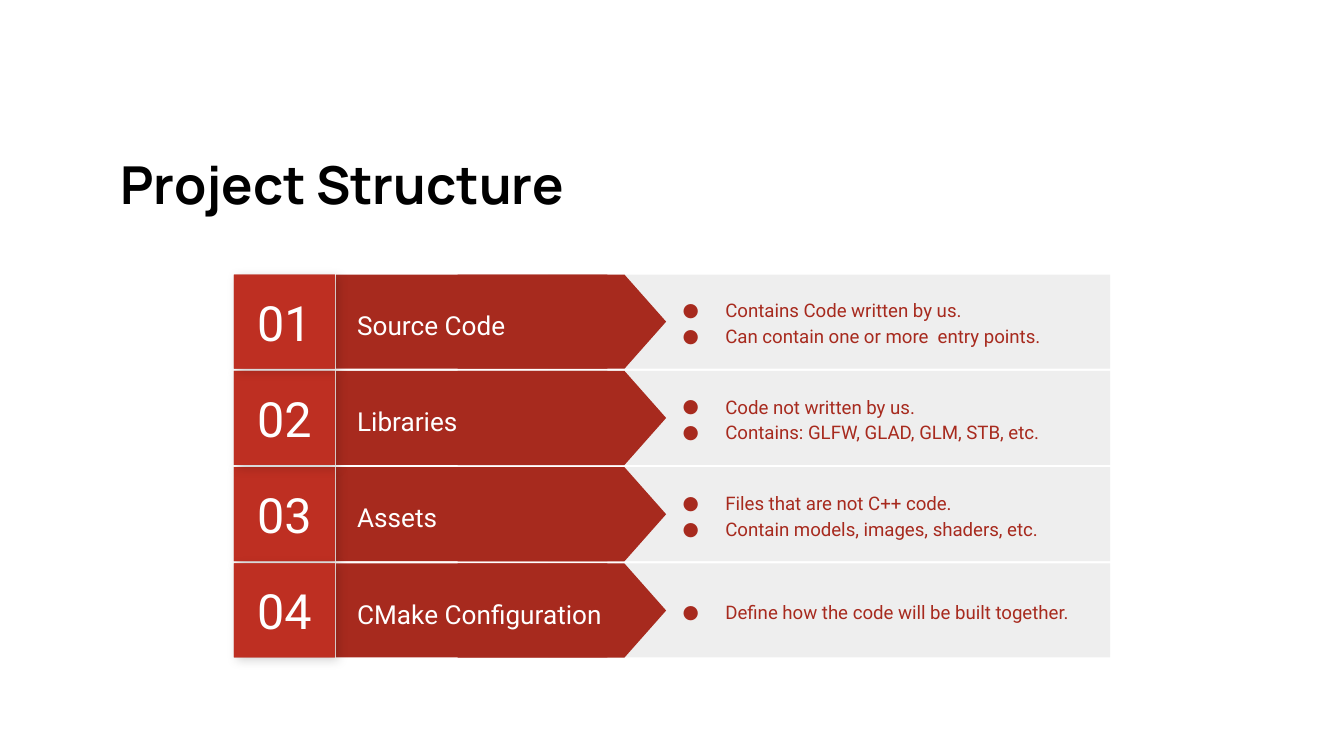
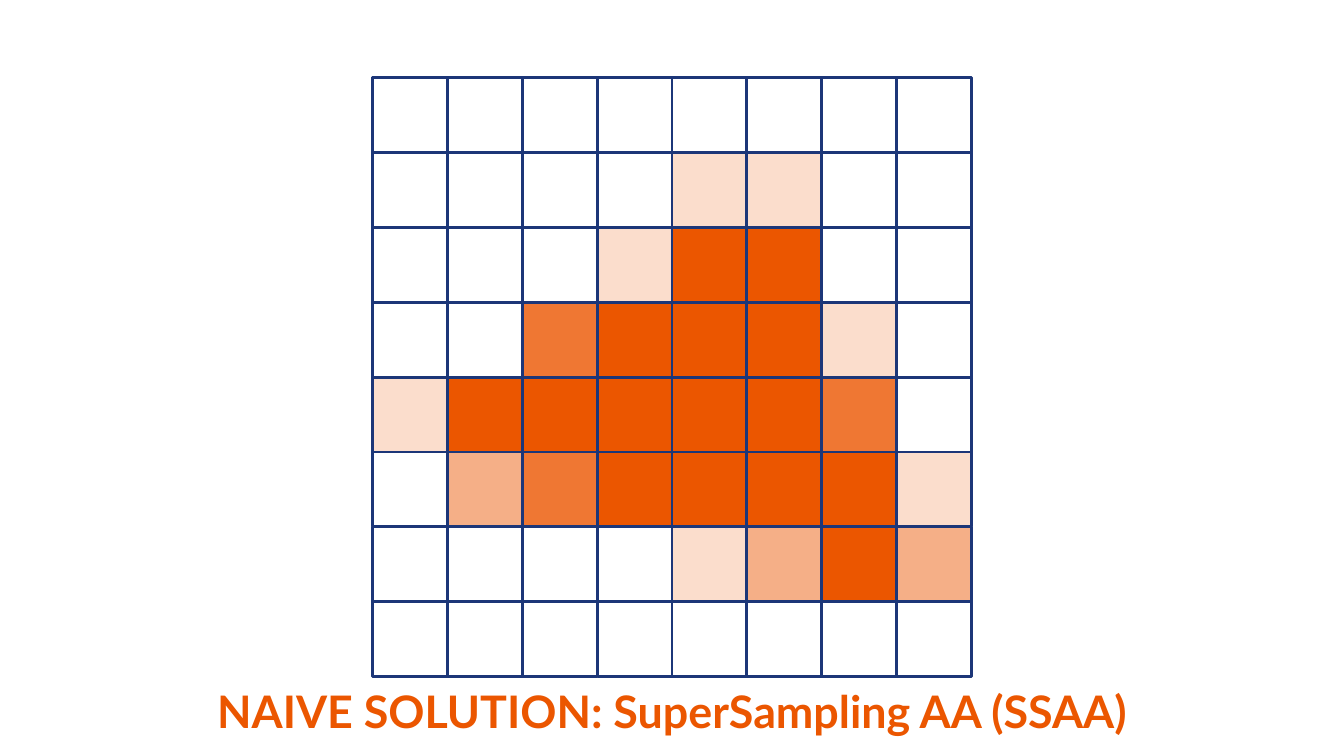
"""Build two slides: the project structure rows and the supersampled pixel grid."""
from lxml import etree
from pptx import Presentation
from pptx.dml.color import RGBColor
from pptx.enum.shapes import MSO_SHAPE
from pptx.enum.text import MSO_ANCHOR, PP_ALIGN
from pptx.oxml.ns import qn
from pptx.util import Cm, Pt

RECT, ARROW = MSO_SHAPE.RECTANGLE, MSO_SHAPE.FLOWCHART_OFFPAGE_CONNECTOR
TOP, MIDDLE = MSO_ANCHOR.TOP, MSO_ANCHOR.MIDDLE
LEFT, CENTER = PP_ALIGN.LEFT, PP_ALIGN.CENTER

BLACK, WHITE, GREY = "000000", "FFFFFF", "EEEEEE"
DARK_RED, RED, SHADE_RED = "A72A1E", "BE2F22", "B02C20"
ORANGE, NAVY = "EB5600", "1C3678"
HEADING_FONT, BODY_FONT, CAPTION_FONT = "Manrope", "Roboto", "Lato"
INSET = 0.25

STRUCTURE_TITLE = "Project Structure"
PARTS = [
    ("01", "Source Code", ["Contains Code written by us.",
                           "Can contain one or more  entry points."]),
    ("02", "Libraries", ["Code not written by us.",
                         "Contains: GLFW, GLAD, GLM, STB, etc."]),
    ("03", "Assets", ["Files that are not C++ code.",
                      "Contain models, images, shaders, etc."]),
    ("04", "CMake Configuration", ["Define how the code will be built together."]),
]
STACKING = (2, 1, 0, 3)
ROW_TOP, ROW_PITCH, ROW_HEIGHT = 5.19, 1.82, 1.78

CAPTION = "NAIVE SOLUTION: SuperSampling AA (SSAA)"
COVERAGE = [
    "........",
    "....ll..",
    "...lff..",
    "..hfffl.",
    "lfffffh.",
    ".mhffffl",
    "....lmfm",
    "........",
]
OPACITY = {"l": 20, "m": 47, "h": 80, "f": 100}
GRID_LEFT, GRID_TOP, GRID_SIZE = 7.04, 1.47, 11.32


def rgb(value):
    return RGBColor.from_string(value)


def add_element(parent, tag, **attributes):
    return etree.SubElement(parent, qn(tag), {k: str(v) for k, v in attributes.items()})


def write(shape, lines, font, size, color, bold=False, align=LEFT, anchor=MIDDLE,
          spacing=None, bullets=False):
    frame = shape.text_frame
    frame.word_wrap = True
    frame.vertical_anchor = anchor
    frame.margin_left = frame.margin_right = Cm(INSET)
    frame.margin_top = frame.margin_bottom = Cm(INSET)
    for index, line in enumerate(lines):
        paragraph = frame.add_paragraph() if index else frame.paragraphs[0]
        paragraph.text = line
        paragraph.alignment = align
        if spacing:
            paragraph.line_spacing = spacing
        if bullets:
            properties = paragraph._p.get_or_add_pPr()
            properties.set("marL", str(Cm(1.27)))
            properties.set("indent", str(Cm(-0.81)))
            add_element(add_element(properties, "a:buClr"), "a:srgbClr", val=color)
            add_element(properties, "a:buFont", typeface=font)
            add_element(properties, "a:buChar", char="●")
        paragraph.font.name = font
        paragraph.font.size = Pt(size)
        paragraph.font.bold = bold
        paragraph.font.color.rgb = rgb(color)


def add_text(shapes, box, lines, *style, **options):
    write(shapes.add_textbox(*map(Cm, box)), lines, *style, **options)


def add_block(shapes, box, fill=None, opacity=100, line=None, kind=RECT):
    block = shapes.add_shape(kind, *map(Cm, box))
    block.shadow.inherit = False
    if fill:
        block.fill.solid()
        block.fill.fore_color.rgb = rgb(fill)
        if opacity < 100:
            color = block._element.spPr.find(qn("a:solidFill")).find(qn("a:srgbClr"))
            add_element(color, "a:alpha", val=opacity * 1000)
    else:
        block.fill.background()
    if line:
        block.line.color.rgb = rgb(line)
        block.line.width = Pt(1.5)
    else:
        block.line.fill.background()
    return block


def cast_shadow(block):
    effects = block._element.spPr.find(qn("a:effectLst"))
    shadow = add_element(effects, "a:outerShdw", blurRad=Pt(5.6), dist=Pt(2.2),
                         dir=45 * 60000, algn="bl", rotWithShape=0)
    add_element(add_element(shadow, "a:srgbClr", val=BLACK), "a:alpha", val=17000)


def add_part(shapes, top, number, label, details):
    add_block(shapes, (10.36, top, 10.62, ROW_HEIGHT), GREY)
    add_block(shapes, (6.35, top, 5.13, ROW_HEIGHT), DARK_RED)
    arrow_length, arrow_center = 3.94, 10.62
    arrow = add_block(shapes, (arrow_center - ROW_HEIGHT / 2,
                               top + (ROW_HEIGHT - arrow_length) / 2,
                               ROW_HEIGHT, arrow_length), DARK_RED, kind=ARROW)
    arrow.rotation = 270
    add_text(shapes, (6.5, top + 0.22, 5.38, 1.37), [label],
             BODY_FONT, 14, WHITE, spacing=1.15)
    badge_box = (4.42, top, 1.91, ROW_HEIGHT)
    cast_shadow(add_block(shapes, badge_box, SHADE_RED))
    write(add_block(shapes, badge_box, RED), [number],
          BODY_FONT, 26, WHITE, align=CENTER)
    add_text(shapes, (12.19, top, 8.26, ROW_HEIGHT), details,
             BODY_FONT, 10, DARK_RED, spacing=1.15, bullets=True)


def build_structure(slide):
    add_text(slide.shapes, (2.03, 2.62, 21.36, 1.5), [STRUCTURE_TITLE],
             HEADING_FONT, 28, BLACK, bold=True, anchor=TOP)
    for row in STACKING:
        group = slide.shapes.add_group_shape()
        add_part(group.shapes, ROW_TOP + row * ROW_PITCH, *PARTS[row])


def build_grid(slide):
    pixels = slide.shapes.add_group_shape().shapes
    side = GRID_SIZE / len(COVERAGE)
    for row, levels in enumerate(COVERAGE):
        for column, level in enumerate(levels):
            box = (GRID_LEFT + column * side, GRID_TOP + row * side, side, side)
            add_block(pixels, box, ORANGE if level in OPACITY else None,
                      OPACITY.get(level, 100), NAVY)
    add_text(slide.shapes, (0.76, 12.8, 23.88, 1.27), [CAPTION],
             CAPTION_FONT, 24, ORANGE, bold=True, align=CENTER)


def main():
    deck = Presentation()
    deck.slide_width, deck.slide_height = Cm(25.4), Cm(14.29)
    blank = deck.slide_layouts[6]
    for build in (build_structure, build_grid):
        build(deck.slides.add_slide(blank))
    deck.save("out.pptx")


if __name__ == "__main__":
    main()
